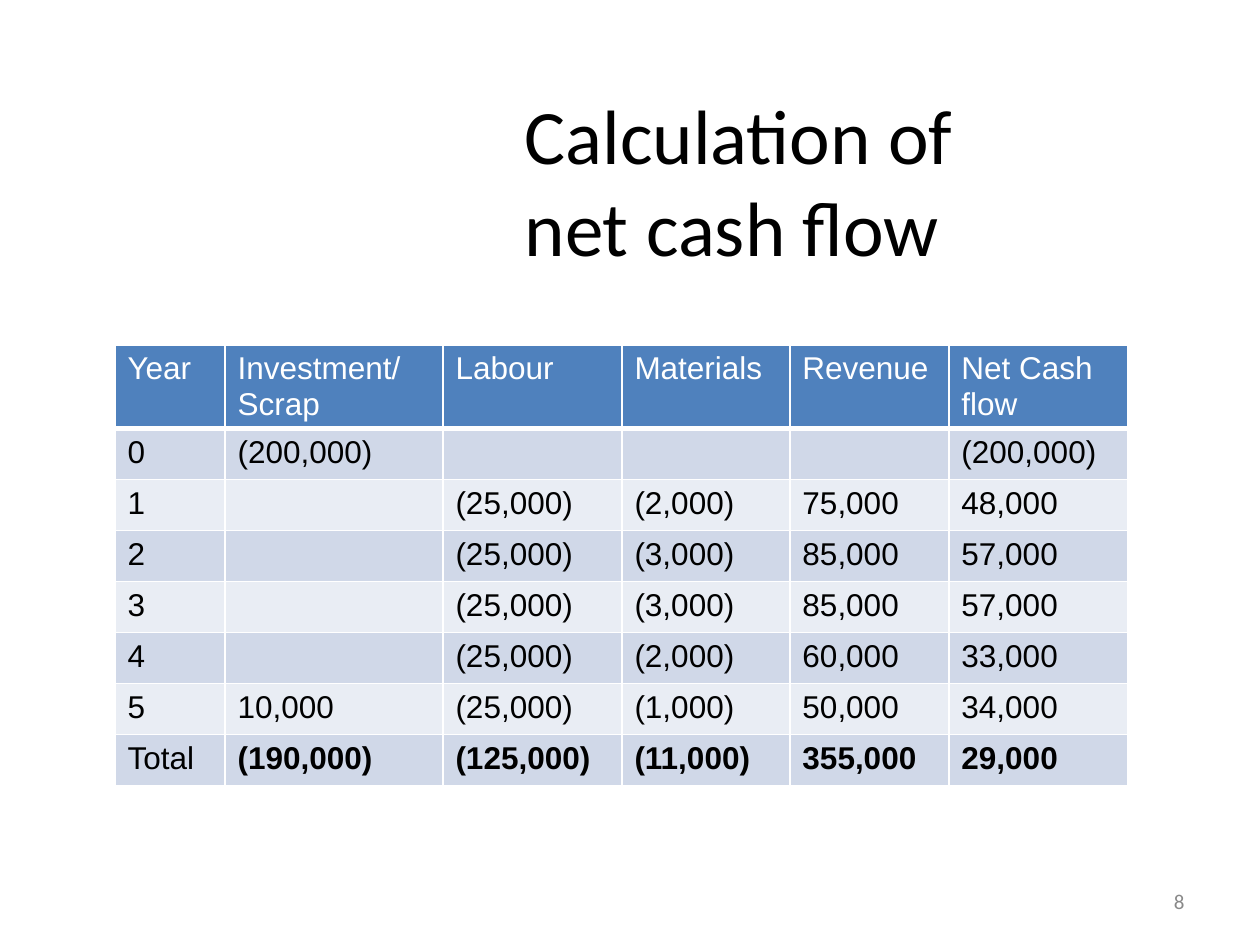
from lxml import etree
from pptx import Presentation
from pptx.dml.color import RGBColor
from pptx.enum import text
from pptx.oxml.ns import qn
from pptx.util import Emu, Pt

# Content
TITLE = "Calculation of \vnet cash flow"
PAGE = "8"
ROWS = [
    ("Year", "Investment/\nScrap", "Labour", "Materials", "Revenue", "Net Cash flow"),
    ("0", "(200,000)", "", "", "", "(200,000)"),
    ("1", "", "(25,000)", "(2,000)", "75,000", "48,000"),
    ("2", "", "(25,000)", "(3,000)", "85,000", "57,000"),
    ("3", "", "(25,000)", "(3,000)", "85,000", "57,000"),
    ("4", "", "(25,000)", "(2,000)", "60,000", "33,000"),
    ("5", "10,000", "(25,000)", "(1,000)", "50,000", "34,000"),
    ("Total", "(190,000)", "(125,000)", "(11,000)", "355,000", "29,000"),
]
COL_WIDTHS = (110, 218, 179, 168, 159, 179)
HEADER_H, ROW_H = 83, 51

BLACK = RGBColor(0x00, 0x00, 0x00)
WHITE = RGBColor(0xFF, 0xFF, 0xFF)
GREY = RGBColor(0x89, 0x89, 0x89)
BLUE = RGBColor(0x4F, 0x81, 0xBD)
BANDS = (RGBColor(0xE9, 0xED, 0xF4), RGBColor(0xD0, 0xD8, 0xE8))


def px(n):
    return Emu(round(n * 914400 / 126))


def style(tf, size, font, color, bold=False, align=text.PP_ALIGN.LEFT):
    for p in tf.paragraphs:
        p.alignment = align
        for r in p.runs:
            r.font.size, r.font.name, r.font.bold = Pt(size), font, bold
            r.font.color.rgb = color


def set_borders(cell, bottom):
    """Draw white cell borders, 1 pt except for the bottom one."""
    tcPr = cell._tc.get_or_add_tcPr()
    for side, width in (("L", 1), ("R", 1), ("T", 1), ("B", bottom)):
        ln = etree.SubElement(tcPr, qn(f"a:ln{side}"), w=str(Pt(width)))
        fill = etree.SubElement(ln, qn("a:solidFill"))
        etree.SubElement(fill, qn("a:srgbClr"), val=str(WHITE))


prs = Presentation()
prs.slide_width, prs.slide_height = px(1260), px(945)
slide = prs.slides.add_slide(prs.slide_layouts[5])

# Title
title = slide.shapes.title
title.left, title.top, title.width, title.height = map(px, (512, 101, 717, 157))
tf = title.text_frame
tf.text = TITLE
tf.word_wrap = True
tf.auto_size = text.MSO_AUTO_SIZE.NONE
tf.vertical_anchor = text.MSO_ANCHOR.MIDDLE
style(tf, 44, "Calibri", BLACK)

# Cash flow table
height = HEADER_H + ROW_H * (len(ROWS) - 1)
table = slide.shapes.add_table(
    len(ROWS), len(COL_WIDTHS), px(115), px(345), px(sum(COL_WIDTHS)), px(height)
).table
for column, width in zip(table.columns, COL_WIDTHS):
    column.width = px(width)
for i, row in enumerate(ROWS):
    header, total = i == 0, i == len(ROWS) - 1
    table.rows[i].height = px(HEADER_H if header else ROW_H)
    for j, value in enumerate(row):
        cell = table.cell(i, j)
        cell.text_frame.text = value
        style(cell.text_frame, 18, "Arial", WHITE if header else BLACK, total and j > 0)
        set_borders(cell, 3 if header else 1)
        cell.fill.solid()
        cell.fill.fore_color.rgb = BLUE if header else BANDS[i % 2]

# Slide number
tf = slide.shapes.add_textbox(px(903), px(876), px(294), px(50)).text_frame
tf.text = PAGE
tf.word_wrap = True
tf.vertical_anchor = text.MSO_ANCHOR.MIDDLE
style(tf, 12, "Calibri", GREY, align=text.PP_ALIGN.RIGHT)

prs.save("out.pptx")
